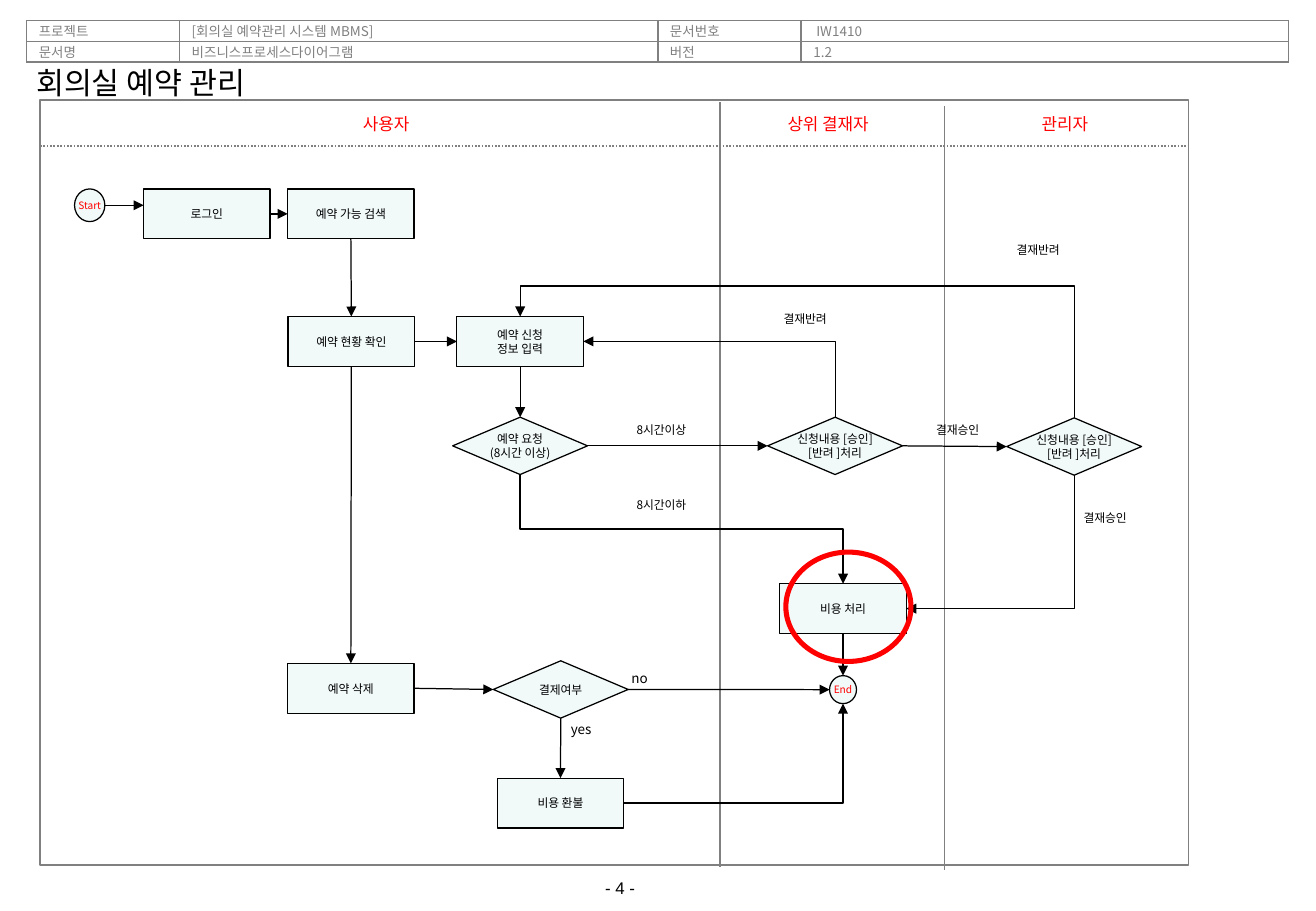
from lxml.etree import SubElement
from pptx import Presentation
from pptx.dml.color import RGBColor
from pptx.enum.dml import MSO_LINE
from pptx.enum.shapes import MSO_CONNECTOR as CXN, MSO_SHAPE as SHAPE
from pptx.enum.text import MSO_ANCHOR as ANCHOR, PP_ALIGN as ALIGN
from pptx.oxml.ns import qn
from pptx.util import Pt

KOREAN = "Noto Sans CJK KR"
BLACK, GRAY, RED, WHITE, MINT = "000000", "808080", "FF0000", "FFFFFF", "F1F9F9"
PROCESS = (SHAPE.FLOWCHART_PROCESS, 75, 29.5)
DECISION = (SHAPE.FLOWCHART_DECISION, 80, 34)
START = (SHAPE.OVAL, 18, 19.4)
END = (SHAPE.OVAL, 16, 16.6)

# name: (kind, centre x, centre y, lines of text)
NODES = {
    "start": (START, 29.1, 62.3, ["Start"]),
    "login": (PROCESS, 98.6, 67.4, ["로그인"]),
    "search": (PROCESS, 184, 67.4, ["예약 가능 검색"]),
    "status": (PROCESS, 184.3, 143, ["예약 현황 확인"]),
    "input": (PROCESS, 284.4, 143, ["예약 신청", "정보 입력"]),
    "request": (DECISION, 284.4, 204.9, ["예약 요청", "(8시간 이상)"]),
    "approver": (DECISION, 471.2, 204.9, ["신청내용 [승인]", "[반려 ]처리"]),
    "admin": (DECISION, 613, 205.3, ["신청내용 [승인]", "[반려 ]처리"]),
    "cost": (PROCESS, 475.9, 301.4, ["비용 처리"]),
    "delete": (PROCESS, 184, 348.6, ["예약 삭제"]),
    "paid": (DECISION, 308.5, 349.3, ["결제여부"]),
    "end": (END, 475.9, 349.4, ["End"]),
    "refund": (PROCESS, 308.3, 416.6, ["비용 환불"]),
}
ARROWS = [
    ("login", "right", "search", "left"), ("search", "bottom", "status", "top"),
    ("status", "right", "input", "left"), ("input", "bottom", "request", "top"),
    ("request", "right", "approver", "left"), ("approver", "right", "admin", "left"),
    ("status", "bottom", "delete", "top"), ("delete", "right", "paid", "left"),
    ("paid", "right", "end", "left"), ("paid", "bottom", "refund", "top"),
    ("cost", "bottom", "end", "top"),
]
# the last value places the middle bend; None means a single bend
ELBOWS = [
    ("admin", "top", "input", "top", 1.3), ("approver", "top", "input", "right", None),
    ("request", "bottom", "cost", "top", 0.5), ("admin", "bottom", "cost", "right", None),
    ("refund", "right", "end", "bottom", None),
]
# text, centre x, centre y, size
LABELS = [
    ("결재반려", 453.4, 129.6, 7), ("결재반려", 591.6, 88.7, 7),
    ("결재승인", 631.3, 247.6, 7), ("결재승인", 543.9, 195.4, 7),
    ("8시간이상", 368.2, 195.4, 7), ("8시간이하", 368.2, 239.6, 7),
    ("no", 355.2, 342.5, 8), ("yes", 320.6, 372.6, 8),
]


def rgb(value):
    return RGBColor.from_string(value)


def write(tf, lines, size, color=BLACK, align=ALIGN.CENTER, font=KOREAN):
    for i, line in enumerate(lines):
        p = tf.paragraphs[0] if i == 0 else tf.add_paragraph()
        p.alignment = align
        r = p.add_run()
        r.text = line
        r.font.size = Pt(size)
        r.font.color.rgb = rgb(color)
        r.font.name = font
        SubElement(r.font._element, qn("a:ea"), typeface=font)


def add_label(s, text, cx, cy, size, color=BLACK, font=KOREAN, w=60):
    h = 20
    tf = s.shapes.add_textbox(Pt(cx - w / 2), Pt(cy - h / 2), Pt(w), Pt(h)).text_frame
    tf.word_wrap = False
    tf.vertical_anchor = ANCHOR.MIDDLE
    write(tf, [text], size, color, font=font)


def add_shape(s, kind, cx, cy, w, h, line, width, fill=None):
    sp = s.shapes.add_shape(kind, Pt(cx - w / 2), Pt(cy - h / 2), Pt(w), Pt(h))
    sp.shadow.inherit = False
    if fill:
        sp.fill.solid()
        sp.fill.fore_color.rgb = rgb(fill)
    else:
        sp.fill.background()
    sp.line.color.rgb = rgb(line)
    sp.line.width = Pt(width)
    return sp


def add_line(s, start, end, color=GRAY, width=1, arrow=False, kind=CXN.STRAIGHT):
    cxn = s.shapes.add_connector(kind, *map(Pt, (*start, *end)))
    cxn.line.color.rgb = rgb(color)
    cxn.line.width = Pt(width)
    if arrow:
        SubElement(cxn.line._get_or_add_ln(), qn("a:tailEnd"), type="triangle")
    SubElement(cxn._element.spPr, qn("a:effectLst"))
    return cxn


def add_elbow(s, start, end, vertical, bend):
    """Bent arrow; one that leaves vertically is a turned horizontal one."""
    (x1, y1), (x2, y2) = start, end
    turn = 0
    if vertical:
        turn = 90 if y2 > y1 else 270
        cx, cy = (x1 + x2) / 2, (y1 + y2) / 2
        w, h = abs(y2 - y1) / 2, (x1 - x2) / 2
        if turn == 270:
            h = -h
        start, end = (cx - w, cy - h), (cx + w, cy + h)
    cxn = add_line(s, start, end, BLACK, 0.75, True, CXN.ELBOW)
    spPr = cxn._element.spPr
    if turn:
        spPr.find(qn("a:xfrm")).set("rot", str(turn * 60000))
    geom = spPr.find(qn("a:prstGeom"))
    if bend is None:
        geom.set("prst", "bentConnector2")
    else:
        SubElement(geom.find(qn("a:avLst")), qn("a:gd"), name="adj1",
                   fmla=f"val {round(bend * 100000)}")


def header(s, x, y, w, h):
    rows = [["프로젝트", "[회의실 예약관리 시스템 MBMS]", "문서번호", " IW1410"],
            ["문서명", "비즈니스프로세스다이어그램", "버전", "1.2"]]
    widths = [90.7, 283.7, 85]
    widths.append(w - sum(widths))
    table = s.shapes.add_table(2, 4, Pt(x), Pt(y), Pt(w), Pt(h)).table
    table.first_row = table.horz_banding = False
    for col, width in zip(table.columns, widths):
        col.width = Pt(width)
    for i, row in enumerate(rows):
        table.rows[i].height = Pt(h / 2)
        for j, text in enumerate(row):
            cell = table.cell(i, j)
            cell.margin_top = cell.margin_bottom = 0
            cell.margin_left = cell.margin_right = Pt(7.2)
            cell.vertical_anchor = ANCHOR.MIDDLE
            for side in ("lnL", "lnR", "lnT", "lnB"):
                ln = SubElement(cell._tc.get_or_add_tcPr(), qn("a:" + side), w=str(Pt(1)))
                SubElement(SubElement(ln, qn("a:solidFill")), qn("a:srgbClr"), val=GRAY)
            cell.fill.solid()
            cell.fill.fore_color.rgb = rgb(WHITE)
            write(cell.text_frame, [text], 8, GRAY, ALIGN.LEFT)


def title(s, x, y, w, h):
    sp = s.shapes.title
    sp.left, sp.top, sp.width, sp.height = map(Pt, (x, y, w, h))
    tf = sp.text_frame
    tf.margin_left = tf.margin_right = Pt(7.2)
    tf.margin_top = tf.margin_bottom = Pt(3.6)
    tf.vertical_anchor = ANCHOR.MIDDLE
    write(tf, ["회의실 예약 관리"], 18, align=ALIGN.LEFT)


def lanes(s, x, y, w, h):
    add_shape(s, SHAPE.RECTANGLE, x + w / 2, y + h / 2, w, h, GRAY, 1)
    for dx, top, bottom in [(403.2, 1.5, 1.4), (536.4, 3.6, 3)]:
        add_line(s, (x + dx, y + top), (x + dx, y + h + bottom))
    add_line(s, (x, y + 27.4), (x + w, y + 27.4)).line.dash_style = MSO_LINE.ROUND_DOT
    for text, cx in [("사용자", 205.2), ("상위 결재자", 467.3), ("관리자", 607.7)]:
        add_label(s, text, x + cx, y + 14.4, 10, RED, w=120)


def flow(s, x, y):
    def side(name, where):
        (_, w, h), cx, cy, _ = NODES[name]
        dx, dy = {"left": (-1, 0), "right": (1, 0), "top": (0, -1), "bottom": (0, 1)}[where]
        return x + cx + dx * w / 2, y + cy + dy * h / 2

    # Arrows
    begin = side("start", "right")
    add_line(s, begin, (side("login", "left")[0], begin[1]), BLACK, 0.75, True)
    for a, a_side, b, b_side in ARROWS:
        add_line(s, side(a, a_side), side(b, b_side), BLACK, 0.75, True)
    for a, a_side, b, b_side, bend in ELBOWS:
        add_elbow(s, side(a, a_side), side(b, b_side), a_side in ("top", "bottom"), bend)
    # Steps
    for (kind, w, h), cx, cy, lines in NODES.values():
        sp = add_shape(s, kind, x + cx, y + cy, w, h, BLACK, 0.75, MINT)
        tf = sp.text_frame
        tf.word_wrap = False
        tf.vertical_anchor = ANCHOR.MIDDLE
        tf.margin_top = tf.margin_bottom = Pt(3)
        size, color = (6, RED) if kind == SHAPE.OVAL else (7, BLACK)
        write(tf, lines, size, color)
    # Labels and highlight ring
    for text, cx, cy, size in LABELS:
        add_label(s, text, x + cx, y + cy, size)
    add_shape(s, SHAPE.OVAL, x + 479.1, y + 300.3, 74.2, 64.8, RED, 3)


def main():
    prs = Presentation()
    prs.slide_width = Pt(780.48)
    prs.slide_height = Pt(540)
    s = prs.slides.add_slide(prs.slide_layouts[5])
    header(s, 15.8, 12.2, 748.5, 24.5)
    title(s, 14.2, 34.2, 204.5, 28.8)
    lanes(s, 23.8, 59.2, 681.1, 453.6)
    flow(s, 24.1, 59.4)
    add_label(s, "- 4 -", 367.7, 526, 10, font="Arial")
    prs.save("out.pptx")


if __name__ == "__main__":
    main()
